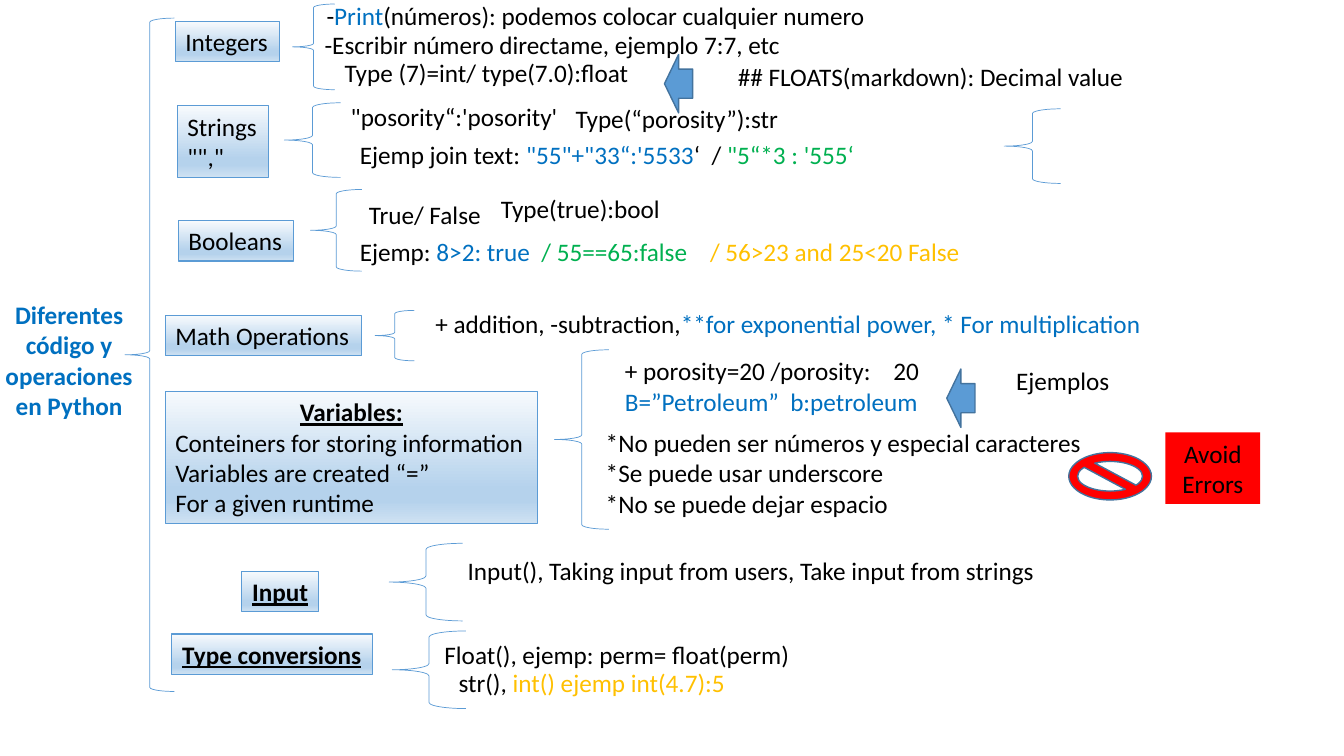
from copy import deepcopy
from pptx import Presentation
from pptx.dml.color import RGBColor as RGB
from pptx.enum.shapes import MSO_SHAPE as SHAPE
from pptx.enum.text import MSO_ANCHOR as ANCHOR, MSO_AUTO_SIZE as AUTO, PP_ALIGN as ALIGN
from pptx.oxml.ns import qn
from pptx.util import Inches, Pt

WIDE, HIGH = Inches(13.33), Inches(7.5)
COLS, ROWS = 133.3, 75
FONT, SIZE = "Calibri", Pt(18)
BLACK = RGB(0x00, 0x00, 0x00)
BLUE = RGB(0x00, 0x70, 0xC0)
GREEN = RGB(0x00, 0xB0, 0x50)
GOLD = RGB(0xFF, 0xC0, 0x00)
RED = RGB(0xFF, 0x00, 0x00)
SKY = RGB(0x5B, 0x9B, 0xD5)
NAVY = RGB(0x43, 0x73, 0x9E)
PALE = RGB(0xF7, 0xFA, 0xFD)
MIST = RGB(0xB5, 0xD2, 0xEC)
HAZE = RGB(0xCE, 0xE1, 0xF2)
STOPS = [(0, PALE), (0.74, MIST), (0.83, MIST), (1, HAZE)]


def grid(col, row, cols, rows):
    return (round(WIDE * col / COLS), round(HIGH * row / ROWS),
            round(WIDE * cols / COLS), round(HIGH * rows / ROWS))


def add_run(para, text, color=BLACK, bold=False, under=False):
    run = para.add_run()
    run.text = text
    font = run.font
    font.name, font.size, font.color.rgb = FONT, SIZE, color
    font.bold, font.underline = bold, under


def write(frame, lines, align=ALIGN.LEFT, wrap=True, loose=False):
    frame.word_wrap = wrap
    frame.auto_size = AUTO.SHAPE_TO_FIT_TEXT
    for spot, runs in enumerate(lines):
        para = frame.add_paragraph() if spot else frame.paragraphs[0]
        para.alignment = align
        if loose:
            para.line_spacing, para.space_after = 1.07, Pt(8)
        for run in runs:
            add_run(para, *run)


def add_title(slide, text, cell):
    title = slide.shapes.title
    title.left, title.top, title.width, title.height = grid(*cell)
    frame = title.text_frame
    frame.vertical_anchor = ANCHOR.TOP
    write(frame, [[(text, BLUE, True)]], ALIGN.CENTER)
    para = frame.paragraphs[0]
    para.line_spacing, para.space_before = 1.0, Pt(0)


def add_note(slide, cell, *lines, wrap=True, loose=False):
    box = slide.shapes.add_textbox(*grid(*cell))
    write(box.text_frame, lines, wrap=wrap, loose=loose)


def add_form(slide, kind, cell, fill=None, line=None, width=1):
    form = slide.shapes.add_shape(kind, *grid(*cell))
    form.shadow.inherit = False
    if fill is None:
        form.fill.background()
    else:
        form.fill.solid()
        form.fill.fore_color.rgb = fill
    if line is None:
        form.line.fill.background()
    else:
        form.line.color.rgb = line
        form.line.width = Pt(width)
    return form


def add_brace(slide, cell):
    add_form(slide, SHAPE.LEFT_BRACE, cell, line=SKY, width=0.5)


def add_arrow(slide, col, row):
    arrow = add_form(slide, SHAPE.RIGHT_ARROW, (col, row, 2.8, 5.8), SKY, NAVY)
    arrow.rotation = 180


def shade(fill):
    fill.gradient()
    fill.gradient_angle = 270
    first = fill.gradient_stops[0]._gs
    for _ in range(len(STOPS) - len(fill.gradient_stops)):
        first.addnext(deepcopy(first))
    for stop, (place, color) in zip(fill.gradient_stops, STOPS):
        stop.position, stop.color.rgb = place, color


def add_topic(slide, cell, *lines, align=ALIGN.LEFT):
    topic = add_form(slide, SHAPE.RECTANGLE, cell, line=SKY, width=0.75)
    shade(topic.fill)
    write(topic.text_frame, lines, align, wrap=False)
    return topic


def add_types(slide):
    add_topic(slide, (17.4, 2.1, 10.3, 4), [("Integers",)])
    add_note(slide, (31.4, -0.5, 59.1, 4), [
        ("-",), ("Print", BLUE), ("(números): podemos colocar cualquier numero",)])
    add_note(slide, (31.2, 2.4, 59.1, 4),
             [("-Escribir número directame, ejemplo 7:7, etc",)])
    add_note(slide, (33.2, 5, 37.4, 4.3),
             [("Type (7)=int/ type(7.0):float",)], loose=True)
    add_note(slide, (72.2, 5.6, 40.7, 4),
             [("## FLOATS(markdown): Decimal value",)], wrap=False)

    add_topic(slide, (17.6, 10.5, 9, 7.1), [("Strings",)], [('"","',)])
    add_note(slide, (33.8, 9.6, 23.3, 4), [("\"posority“:'posority' ",)], wrap=False)
    add_note(slide, (56.1, 9.6, 22.3, 4.3),
             [("Type(“porosity”):str",)], wrap=False, loose=True)
    add_note(slide, (34.7, 13.1, 59.9, 4.1), [
        ("Ejemp join text: ",), ("\"55\"+\"33“:'5533", BLUE),
        ("‘  / ",), ("\"5“*3 : '555‘ ", GREEN)], loose=True)

    add_topic(slide, (17.7, 21.9, 11.4, 4), [("Booleans",)])
    add_note(slide, (35.6, 19.3, 18.1, 4), [("True/ False",)])
    add_note(slide, (48.7, 18.5, 18, 4.3), [("Type(true):bool",)], wrap=False, loose=True)
    add_note(slide, (34.7, 22.7, 70.6, 4.3), [
        ("Ejemp: ",), ("8>2: true  ", BLUE), ("/ 55==65:false    ", GREEN),
        ("/ 56>23 and 25<20 False", GOLD)], loose=True)


def add_usage(slide):
    add_topic(slide, (16.4, 31.3, 19.5, 4), [("Math Operations",)])
    add_note(slide, (42.2, 30.1, 76, 4), [
        ("+ addition, -subtraction,",),
        ("**for exponential power, * For multiplication", BLUE)])

    topic = add_topic(slide, (16.4, 38.8, 36.9, 13.1),
                      [("Variables:", BLACK, True, True)],
                      [("Conteiners for storing information",)],
                      [("Variables are created “=”",)],
                      [("For a given runtime",)])
    topic.text_frame.paragraphs[0].alignment = ALIGN.CENTER
    add_note(slide, (61, 34.8, 76, 7.1),
             [("+ porosity=20 /porosity:    20",)],
             [("B=”Petroleum”  b:petroleum", BLUE)])
    add_note(slide, (59.1, 41.9, 53.7, 10.1),
             [("*No pueden ser números y especial caracteres",)],
             [("*Se puede usar underscore",)],
             [("*No se puede dejar espacio",)])
    add_note(slide, (99.8, 35.8, 11.3, 4), [("Ejemplos",)], wrap=False)
    add_form(slide, SHAPE.NO_SYMBOL, (106, 44.9, 8.2, 4.7), RED, NAVY)
    alert = add_form(slide, SHAPE.RECTANGLE, (115.6, 42.9, 9.4, 7.1), RED)
    write(alert.text_frame, [[("Avoid Errors",)]], ALIGN.CENTER)

    for text, cell in [("Input", (24, 56.7, 7.6, 4)),
                       ("Type conversions", (17, 62.9, 19.9, 4))]:
        add_topic(slide, cell, [(text, BLACK, True, True)], align=ALIGN.CENTER)
    add_note(slide, (45.4, 54.6, 68.3, 4),
             [("Input(), Taking input from users, Take input from strings",)])
    add_note(slide, (43.1, 62.9, 68.3, 4), [("Float(), ejemp: perm= float(perm)",)])
    add_note(slide, (44.5, 65.7, 29.3, 4),
             [("str(), ",), ("int() ejemp int(4.7):5 ", GOLD)], wrap=False)


def main():
    deck = Presentation()
    deck.slide_width, deck.slide_height = WIDE, HIGH
    slide = deck.slides.add_slide(deck.slide_layouts[5])
    add_title(slide, "Diferentes código y operaciones en Python",
              (-1.5, 29.2, 16.7, 13.1))
    for cell in [(12.4, 1.8, 4.9, 66.8), (29, 0.4, 4.2, 8.5),
                 (28.2, 10.2, 5.6, 7.4), (99.6, 10.8, 5.6, 7.4),
                 (30.8, 18.8, 5.1, 8.1), (37.2, 30.8, 3.9, 5),
                 (55, 34.7, 5.4, 17.8), (38.6, 53.9, 7.3, 7.7),
                 (38.9, 62.6, 7.3, 7.7)]:
        add_brace(slide, cell)
    add_types(slide)
    add_usage(slide)
    for spot in [(65.9, 5.4), (93.9, 36.6)]:
        add_arrow(slide, *spot)
    deck.save("out.pptx")


main()
